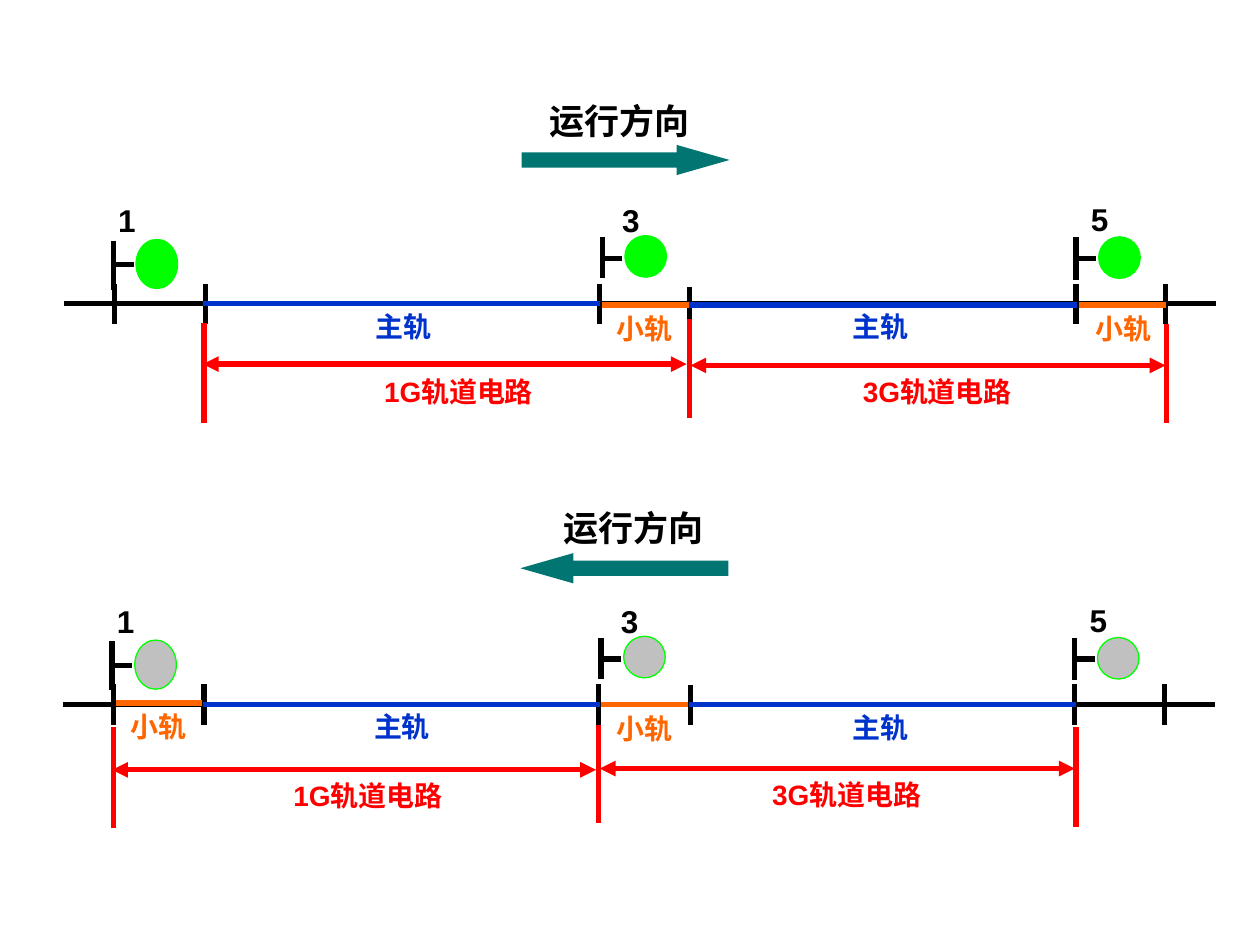
from pptx import Presentation
from pptx.dml.color import RGBColor as Rgb
from pptx.enum.shapes import MSO_CONNECTOR as Conn, MSO_SHAPE as Kind
from pptx.enum.text import MSO_AUTO_SIZE as Fit, PP_ALIGN as Align
from pptx.oxml.ns import qn
from pptx.util import Inches, Pt
from lxml.etree import SubElement as Sub

THEME = {
    "font": "Arial",
    "ink": "000000", "main": "0033CC", "short": "FF6600", "span": "FF0000",
    "arrow": "007572", "rim": "00FF00",
    "line": 3, "edge": 0.75,
    "title": 20, "number": 18, "label": 16,
}

TICKS = [0.91, 1.63, 4.76, 8.54, 9.25]
SIGNALS = [
    ("1", 0.9, -0.5, -0.11, -0.31, -0.51, 0.39, 0.84, -0.86),
    ("3", 4.78, -0.53, -0.2, -0.36, -0.54, 0.33, 4.84, -0.86),
    ("5", 8.54, -0.53, -0.19, -0.36, -0.53, 0.33, 8.56, -0.87),
]
MAIN, SHORT = "主轨", "小轨"

TRACKS = [
    {
        "shift": 0, "rail": 2.41, "lamp": "00FF00",
        "arrow": (4.14, 1.15, 0), "title": (4.26, 0.74),
        "joint": (5.47, 2.28, 2.6),
        "parts": [
            (MAIN, "main", 1.61, 4.76, 2.41, 2.88, 2.41),
            (SHORT, "short", 4.78, 5.47, 2.42, 4.76, 2.42),
            (SHORT, "short", 8.56, 9.25, 2.42, 8.56, 2.42),
            (MAIN, "main", 5.47, 8.55, 2.42, 6.67, 2.41),
        ],
        "bounds": [(1.62, 2.56, 3.36), (5.47, 2.53, 3.32), (9.26, 2.57, 3.36)],
        "spans": [
            ("1G轨道电路", 1.61, 5.45, 2.89, 2.95, 2.92),
            ("3G轨道电路", 5.48, 9.25, 2.9, 6.75, 2.92),
        ],
    },
    {
        "shift": -0.01, "rail": 5.59, "lamp": "C0C0C0",
        "arrow": (4.13, 4.39, 180), "title": (4.37, 3.97),
        "joint": (5.48, 5.44, 5.75),
        "parts": [
            (MAIN, "main", 1.61, 4.76, 5.59, 2.87, 5.58),
            (MAIN, "main", 5.47, 8.54, 5.59, 6.67, 5.59),
            (SHORT, "short", 4.77, 5.46, 5.59, 4.76, 5.6),
            (SHORT, "short", 0.92, 1.6, 5.58, 0.9, 5.58),
        ],
        "bounds": [(0.9, 5.77, 6.57), (4.75, 5.75, 6.53), (8.54, 5.77, 6.56)],
        "spans": [
            ("1G轨道电路", 0.89, 4.73, 6.11, 2.23, 6.13),
            ("3G轨道电路", 4.76, 8.53, 6.1, 6.03, 6.12),
        ],
    },
]

deck = Presentation()
deck.slide_width, deck.slide_height = Inches(10), Inches(7.5)
slide = deck.slides.add_slide(deck.slide_layouts[6])


def tint(name):
    return Rgb.from_string(THEME.get(name, name))


def add_line(x1, y1, x2, y2, color="ink", heads=False):
    line = slide.shapes.add_connector(
        Conn.STRAIGHT, Inches(x1), Inches(y1), Inches(x2), Inches(y2))
    line.line.color.rgb = tint(color)
    line.line.width = Pt(THEME["line"])
    if heads:
        for end in ("a:headEnd", "a:tailEnd"):
            Sub(line.line._get_or_add_ln(), qn(end), type="triangle")
    Sub(line._element.spPr, qn("a:effectLst"))


def add_text(text, x, y, wide, high, size, color="ink", align=Align.LEFT):
    box = slide.shapes.add_textbox(Inches(x), Inches(y), Inches(wide), Inches(high))
    frame = box.text_frame
    frame.word_wrap = True
    frame.auto_size = Fit.SHAPE_TO_FIT_TEXT
    para = frame.paragraphs[0]
    para.alignment = align
    run = para.add_run()
    run.text = text
    run.font.name = THEME["font"]
    run.font.size = Pt(THEME[size])
    run.font.bold = True
    run.font.color.rgb = tint(color)


def add_form(kind, x, y, wide, high, fill, rim=None):
    form = slide.shapes.add_shape(kind, Inches(x), Inches(y), Inches(wide), Inches(high))
    form.shadow.inherit = False
    form.fill.solid()
    form.fill.fore_color.rgb = tint(fill)
    if rim:
        form.line.color.rgb = tint(rim)
        form.line.width = Pt(THEME["edge"])
    else:
        form.line.fill.background()
    return form


def draw_signal(signal, shift, rail, lamp):
    name, x, top, foot, arm, head, high, left, label = signal
    x += shift
    add_line(x, rail + top, x, rail + foot)
    add_line(x, rail + arm, x + 0.16, rail + arm)
    add_form(Kind.OVAL, x + 0.18, rail + head, 0.33, high, lamp, "rim")
    add_text(name, left + shift, rail + label, 0.47, 0.4, "number")


def draw_track(track):
    shift, rail = track["shift"], track["rail"]
    x, y, turn = track["arrow"]
    arrow = add_form(Kind.RIGHT_ARROW, x, y, 1.65, 0.24, "arrow")
    arrow.adjustments[1] = 1.75
    arrow.rotation = turn
    add_text("运行方向", *track["title"], 1.45, 0.44, "title")

    add_line(0.51 + shift, rail, 9.65 + shift, rail)
    for tick in TICKS:
        add_line(tick + shift, rail - 0.16, tick + shift, rail + 0.16)
    x, top, foot = track["joint"]
    add_line(x, top, x, foot)
    for signal in SIGNALS:
        draw_signal(signal, shift, rail, track["lamp"])

    for x, top, foot in track["bounds"]:
        add_line(x, top, x, foot, "span")
    for name, x1, x2, y, left, top in track["spans"]:
        add_line(x1, y, x2, y, "span", heads=True)
        add_text(name, left, top, 1.77, 0.37, "label", "span")
    for name, color, x1, x2, y, left, top in track["parts"]:
        add_line(x1, y, x2, y, color)
        align = Align.CENTER if name == SHORT else Align.LEFT
        add_text(name, left, top, 0.71, 0.37, "label", color, align)


for track in TRACKS:
    draw_track(track)
deck.save("out.pptx")
